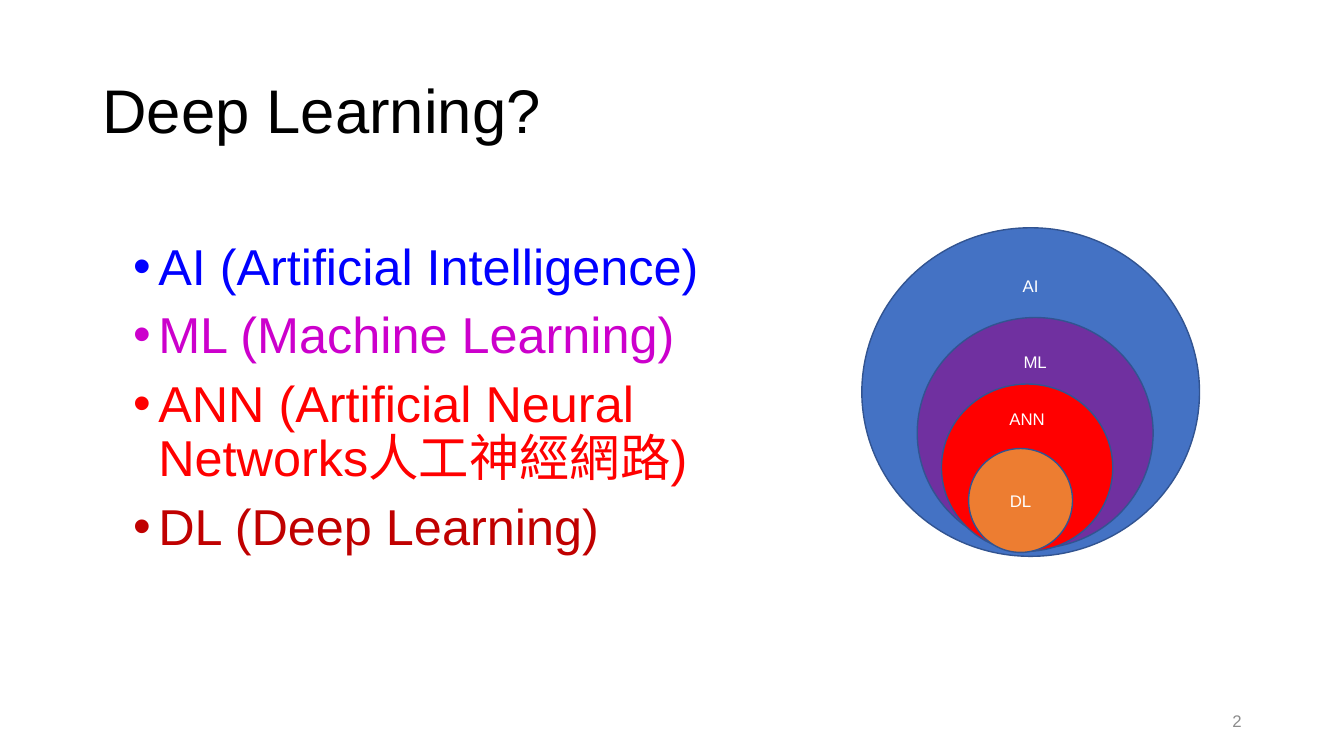
from dataclasses import dataclass

from lxml import etree
from pptx import Presentation
from pptx.dml.color import RGBColor
from pptx.enum.shapes import MSO_SHAPE
from pptx.enum.text import MSO_ANCHOR, MSO_AUTO_SIZE, PP_ALIGN
from pptx.oxml.ns import qn
from pptx.util import Pt

OVAL = MSO_SHAPE.OVAL
LEFT, CENTER, RIGHT = PP_ALIGN.LEFT, PP_ALIGN.CENTER, PP_ALIGN.RIGHT
TOP, MIDDLE = MSO_ANCHOR.TOP, MSO_ANCHOR.MIDDLE
NO_AUTOFIT = MSO_AUTO_SIZE.NONE
TITLE_ONLY = 5


@dataclass(frozen=True)
class Theme:
    font: str = "Arial"
    title_size: int = 44
    body_size: int = 36
    label_size: int = 12
    title: str = "000000"
    label: str = "FFFFFF"
    page_number: str = "8C8C8C"
    outline: str = "325491"
    ai_term: str = "0000FF"
    ml_term: str = "CC00CC"
    ann_term: str = "FF0000"
    dl_term: str = "C00000"
    ai_field: str = "4472C4"
    ml_field: str = "7030A0"
    ann_field: str = "FF0000"
    dl_field: str = "ED7D31"


def write(paragraph, text, *, font, size, color, align=LEFT, spacing=None, before=0):
    paragraph.alignment = align
    paragraph.line_spacing = spacing
    paragraph.space_before = Pt(before)
    run = paragraph.add_run()
    run.text = text
    run.font.name = font
    run.font.size = Pt(size)
    run.font.color.rgb = RGBColor.from_string(color)


def add_bullet(paragraph, indent):
    properties = paragraph._p.get_or_add_pPr()
    properties.set("marL", str(Pt(indent)))
    properties.set("indent", str(-Pt(indent)))
    etree.SubElement(properties, qn("a:buFont")).set("typeface", "Arial")
    etree.SubElement(properties, qn("a:buChar")).set("char", "•")


class SlideBuilder:
    def __init__(self, deck, theme):
        self.theme = theme
        self.slide = deck.slides.add_slide(deck.slide_layouts[TITLE_ONLY])

    def frame(self, shape, anchor):
        frame = shape.text_frame
        frame.word_wrap = True
        frame.auto_size = NO_AUTOFIT
        frame.vertical_anchor = anchor
        return frame

    def title(self, text, left, top, width, height):
        heading = self.slide.shapes.title
        heading.left, heading.top = Pt(left), Pt(top)
        heading.width, heading.height = Pt(width), Pt(height)
        write(self.frame(heading, MIDDLE).paragraphs[0], text, font=self.theme.font,
              size=self.theme.title_size, color=self.theme.title, spacing=0.9)

    def text_box(self, left, top, width, height, anchor):
        box = self.slide.shapes.add_textbox(Pt(left), Pt(top), Pt(width), Pt(height))
        return self.frame(box, anchor)

    def bullets(self, terms, left, top, width, height):
        frame = self.text_box(left, top, width, height, TOP)
        for index, (term, color) in enumerate(terms):
            paragraph = frame.add_paragraph() if index else frame.paragraphs[0]
            write(paragraph, term, font=self.theme.font, size=self.theme.body_size,
                  color=color, spacing=0.9, before=10)
            add_bullet(paragraph, 18)

    def circle(self, label, fill, left, top, width, height, anchor):
        circle = self.slide.shapes.add_shape(OVAL, Pt(left), Pt(top), Pt(width), Pt(height))
        circle.shadow.inherit = False
        circle.fill.solid()
        circle.fill.fore_color.rgb = RGBColor.from_string(fill)
        circle.line.color.rgb = RGBColor.from_string(self.theme.outline)
        circle.line.width = Pt(1)
        frame = self.frame(circle, anchor)
        frame.margin_top = frame.margin_bottom = 0
        write(frame.paragraphs[0], label, font=self.theme.font,
              size=self.theme.label_size, color=self.theme.label, align=CENTER)

    def page_number(self, number, left, top, width, height):
        frame = self.text_box(left, top, width, height, MIDDLE)
        write(frame.paragraphs[0], number, font=self.theme.font,
              size=self.theme.label_size, color=self.theme.page_number, align=RIGHT)


def main():
    deck = Presentation()
    deck.slide_width, deck.slide_height = Pt(960), Pt(540)
    theme = Theme()
    page = SlideBuilder(deck, theme)

    page.title("Deep Learning?", 66, 28.75, 828, 104.4)
    page.bullets([
        ("AI (Artificial Intelligence)", theme.ai_term),
        ("ML (Machine Learning)", theme.ml_term),
        ("ANN (Artificial Neural Networks人工神經網路)", theme.ann_term),
        ("DL (Deep Learning)", theme.dl_term),
    ], 88, 169.2, 524, 240.5)

    nested_fields = [
        ("AI", theme.ai_field, 615.6, 162.7, 241.2, 234.7, TOP),
        ("ML", theme.ml_field, 655.2, 226.8, 168.5, 164.9, TOP),
        ("ANN", theme.ann_field, 672.5, 274.3, 122.4, 119.5, TOP),
        ("DL", theme.dl_field, 691.9, 320.4, 74.2, 74.2, MIDDLE),
    ]
    for field in nested_fields:
        page.circle(*field)

    page.page_number("2", 678, 500.5, 216, 28.75)
    deck.save("out.pptx")


if __name__ == "__main__":
    main()
